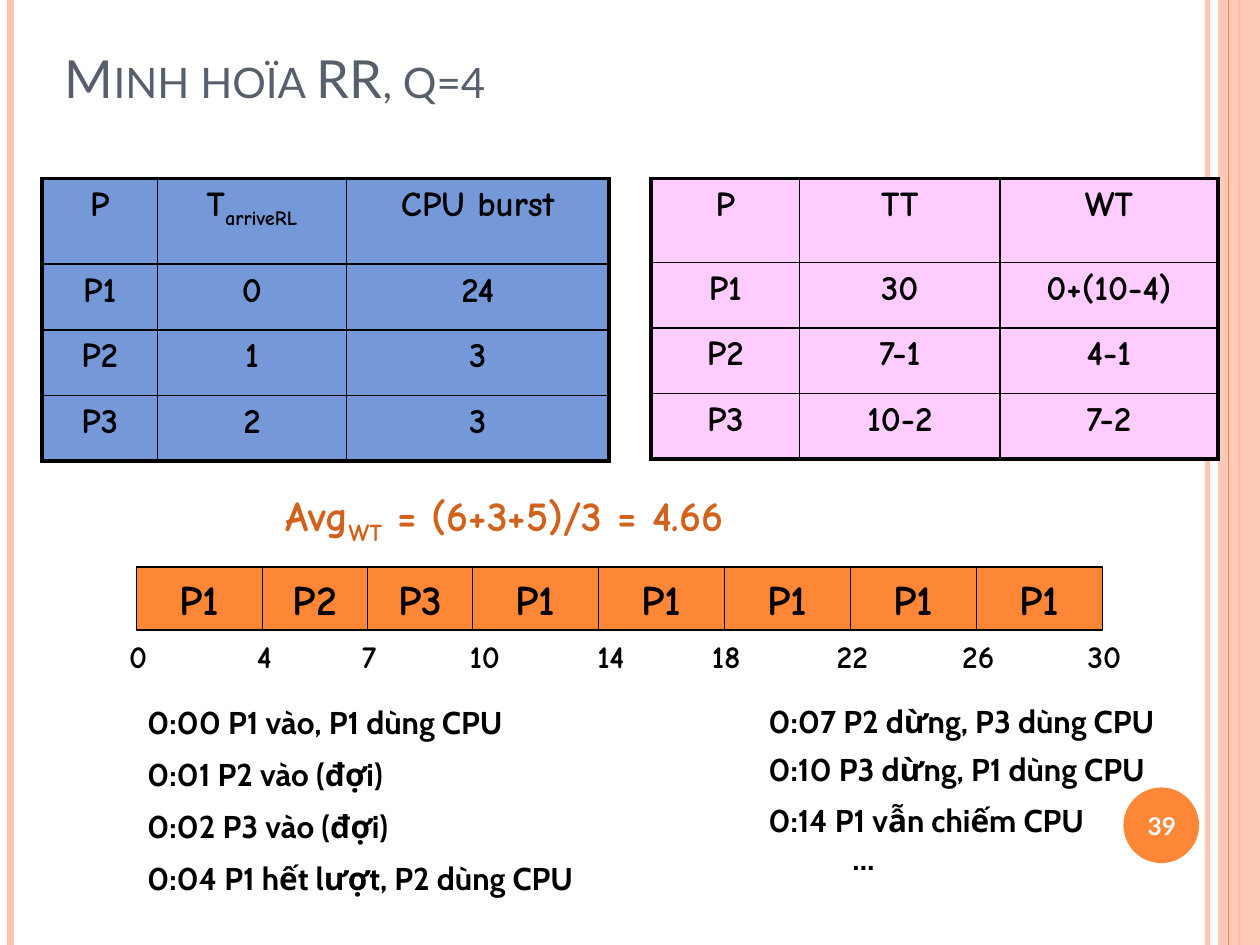
import itertools

import pptx
import pptx.dml.color
import pptx.enum.shapes
import pptx.enum.text
import pptx.oxml
import pptx.oxml.ns
import pptx.util

Pt = pptx.util.Pt
qn = pptx.oxml.ns.qn
Align = pptx.enum.text.PP_ALIGN
Anchor = pptx.enum.text.MSO_ANCHOR
Shape = pptx.enum.shapes.MSO_SHAPE

# Content
TITLE = "Minh hoïa RR, q=4"
PAGE_NUMBER = "39"
# A tuple holds runs: every second one is a subscript
AVERAGE = ("Avg", "WT", " = (6+3+5)/3 = 4.66")
PROCESSES = [
    ("P", ("T", "arriveRL"), "CPU burst"),
    ("P1", "0", "24"),
    ("P2", "1", "3"),
    ("P3", "2", "3"),
]
RESULTS = [
    ("P", "TT", "WT"),
    ("P1", "30", "0+(10-4)"),
    ("P2", "7-1", "4-1"),
    ("P3", "10-2", "7-2"),
]
TIME_SLICES = [("P1", 4), ("P2", 3), ("P3", 3), ("P1", 4),
               ("P1", 4), ("P1", 4), ("P1", 4), ("P1", 4)]
EARLY_EVENTS = [
    ("0:00 P1 vào, P1 dùng CPU", 249),
    ("0:01 P2 vào (đợi)", 171),
    ("0:02 P3 vào (đợi)", 171),
    ("0:04 P1 hết lượt, P2 dùng CPU", 289),
]
LATE_EVENTS = [
    ("0:07 P2 dừng, P3 dùng CPU", 397.5, 264, 29),
    ("0:10 P3 dừng, P1 dùng CPU", 424.8, 264, 29),
    ("0:14 P1 vẫn chiếm CPU\n…", 454.3, 224, 50.5),
]

# Style and layout
COLORS = {
    "title": "575F6D", "accent": "FE8637", "pale": "FEC3AE", "average": "D2611C",
    "processes": "7598D9", "results": "FFCCFF", "black": "000000", "white": "FFFFFF",
}
COMIC, CABIN, LATO = "Comic Neue", "Cabin", "Lato"
SLIDE_WIDTH, SLIDE_HEIGHT = 720, 540
TABLE_TOP, ROW_HEIGHT = 102, 37.5
OUTER_BORDER, INNER_BORDER = 2.25, 1
GANTT_LEFT, GANTT_TOP, GANTT_HEIGHT = 78, 324, 36
SLICE_WIDTHS = {4: 72, 3: 60}
TICK_WIDTH = 37
TICK_SHIFTS = {10: 6, 14: 6}
EVENT_STEP = 29.7


def rgb(name):
    return pptx.dml.color.RGBColor.from_string(COLORS[name])


def set_alpha(fill, percent):
    color = fill._xPr.find(".//" + qn("a:srgbClr"))
    alpha = pptx.oxml.parse_xml(
        f'<a:alpha {pptx.oxml.ns.nsdecls("a")} val="{percent * 1000}"/>')
    color.append(alpha)


def write_text(frame, text, *, size, font, color="black", bold=True,
               align=Align.LEFT, anchor=Anchor.TOP, wrap=True,
               small_caps=False, later_indent=0):
    frame.word_wrap = wrap
    frame.vertical_anchor = anchor
    lines = [text] if isinstance(text, tuple) else [(line,) for line in text.split("\n")]
    for index, pieces in enumerate(lines):
        paragraph = frame.add_paragraph() if index else frame.paragraphs[0]
        paragraph.alignment = align
        if index and later_indent:
            paragraph._p.get_or_add_pPr().set("marL", str(Pt(later_indent)))
        for position, piece in enumerate(pieces):
            run = paragraph.add_run()
            run.text = piece
            run.font.size, run.font.name, run.font.bold = Pt(size), font, bold
            run.font.color.rgb = rgb(color)
            properties = run._r.get_or_add_rPr()
            if position % 2:
                properties.set("baseline", "-25000")
            if small_caps:
                properties.set("cap", "small")


def add_text(slide, box, text, **text_format):
    shape = slide.shapes.add_textbox(*map(Pt, box))
    write_text(shape.text_frame, text, **text_format)


def add_block(slide, kind, box, color, outline=None):
    shape = slide.shapes.add_shape(kind, *map(Pt, box))
    shape.shadow.inherit = False
    shape.fill.solid()
    shape.fill.fore_color.rgb = rgb(color)
    if outline:
        shape.line.color.rgb = rgb("black")
        shape.line.width = Pt(outline)
    else:
        shape.line.fill.background()
    return shape


def add_stripe(slide, x, width, color, alpha=None):
    line = slide.shapes.add_connector(
        pptx.enum.shapes.MSO_CONNECTOR.STRAIGHT, Pt(x), Pt(0), Pt(x), Pt(SLIDE_HEIGHT))
    line.line.color.rgb = rgb(color)
    line.line.width = Pt(width)
    if alpha:
        set_alpha(line.line.fill, alpha)
    properties = line._element.spPr
    properties.append(pptx.oxml.parse_xml(
        f'<a:effectLst {pptx.oxml.ns.nsdecls("a")}/>'))


def set_borders(cell, widths):
    for side, width in widths.items():
        cell._tc.get_or_add_tcPr().append(pptx.oxml.parse_xml(
            f'<a:ln{side} {pptx.oxml.ns.nsdecls("a")} w="{Pt(width)}"><a:solidFill>'
            f'<a:srgbClr val="{COLORS["black"]}"/></a:solidFill></a:ln{side}>'))


def add_data_table(slide, left, column_widths, header_height, rows, color):
    heights = [header_height] + [ROW_HEIGHT] * (len(rows) - 1)
    table = slide.shapes.add_table(
        len(rows), len(column_widths), Pt(left), Pt(TABLE_TOP),
        Pt(sum(column_widths)), Pt(sum(heights))).table
    table.first_row = table.horz_banding = False
    for column, width in zip(table.columns, column_widths):
        column.width = Pt(width)
    last_row, last_column = len(rows) - 1, len(column_widths) - 1
    for r, (values, height) in enumerate(zip(rows, heights)):
        table.rows[r].height = Pt(height)
        for c, value in enumerate(values):
            cell = table.cell(r, c)
            on_edge = {"L": c == 0, "R": c == last_column,
                       "T": r == 0, "B": r == last_row}
            set_borders(cell, {side: OUTER_BORDER if edge else INNER_BORDER
                               for side, edge in on_edge.items()})
            cell.fill.solid()
            cell.fill.fore_color.rgb = rgb(color)
            write_text(cell.text_frame, value, size=20, font=COMIC, align=Align.CENTER)


def main():
    presentation = pptx.Presentation()
    presentation.slide_width, presentation.slide_height = Pt(SLIDE_WIDTH), Pt(SLIDE_HEIGHT)
    slide = presentation.slides.add_slide(presentation.slide_layouts[6])

    # Side stripes and page number disc
    add_stripe(slide, 690, 3, "pale", alpha=93)
    add_stripe(slide, 6, 4.5, "pale")
    add_stripe(slide, 708, 1.5, "accent")
    band = add_block(slide, Shape.RECTANGLE, (696, 0, 24, SLIDE_HEIGHT), "pale")
    set_alpha(band.fill, 87)
    add_stripe(slide, 702, 0.75, "accent")
    add_block(slide, Shape.OVAL, (642, 450, 43.2, 43.2), "accent")

    # Title and page number
    add_text(slide, (30, -24, 588, 90), TITLE, size=30, font=LATO, color="title",
             bold=False, anchor=Anchor.BOTTOM, small_caps=True)
    add_text(slide, (640, 451.5, 48, 41), PAGE_NUMBER, size=14, font=LATO,
             color="white", align=Align.CENTER, anchor=Anchor.MIDDLE)

    # Tables and average waiting time
    add_data_table(slide, 24, (66, 108, 150), 49, PROCESSES, "processes")
    add_data_table(slide, 372, (85, 114.5, 124.5), 48, RESULTS, "results")
    add_text(slide, (156, 276, 384, 36), AVERAGE, size=24, font=COMIC, color="average")

    # Gantt chart
    widths = [SLICE_WIDTHS[duration] for _, duration in TIME_SLICES]
    edges = list(itertools.accumulate(widths, initial=GANTT_LEFT))
    times = itertools.accumulate((duration for _, duration in TIME_SLICES), initial=0)
    for (process, _), left, width in zip(TIME_SLICES, edges, widths):
        block = add_block(slide, Shape.RECTANGLE, (left, GANTT_TOP, width, GANTT_HEIGHT),
                          "accent", outline=0.75)
        write_text(block.text_frame, process, size=24, font=COMIC, align=Align.CENTER,
                   anchor=Anchor.MIDDLE, wrap=False)
    for time, edge in zip(times, edges):
        left = edge + 1 + TICK_SHIFTS.get(time, 0) - TICK_WIDTH / 2
        add_text(slide, (left, 360.7, TICK_WIDTH, 29), str(time), size=18, font=COMIC,
                 align=Align.CENTER, wrap=False)

    # Event log
    for index, (event, width) in enumerate(EARLY_EVENTS):
        add_text(slide, (77, 398 + index * EVENT_STEP, width, 29), event,
                 size=18, font=CABIN)
    for event, top, width, height in LATE_EVENTS:
        add_text(slide, (432, top, width, height), event, size=18, font=CABIN,
                 later_indent=48)

    presentation.save("out.pptx")


if __name__ == "__main__":
    main()
